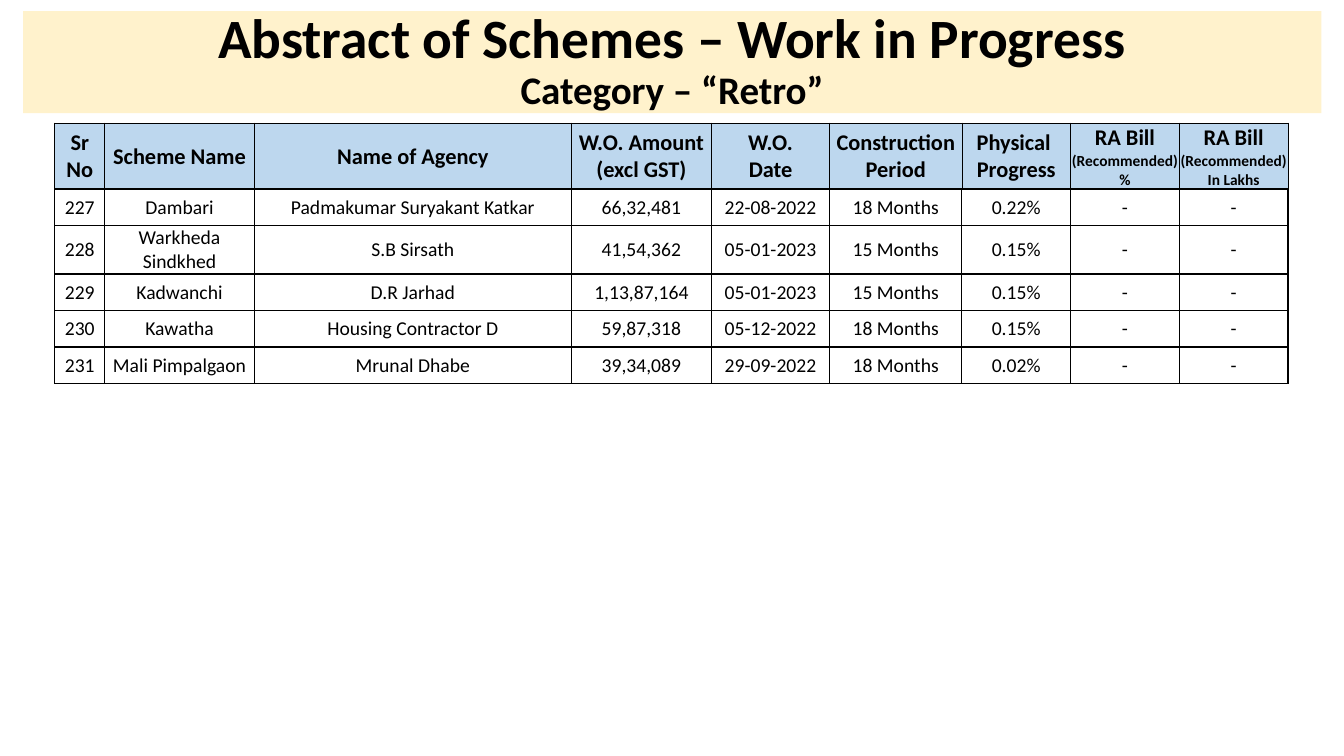
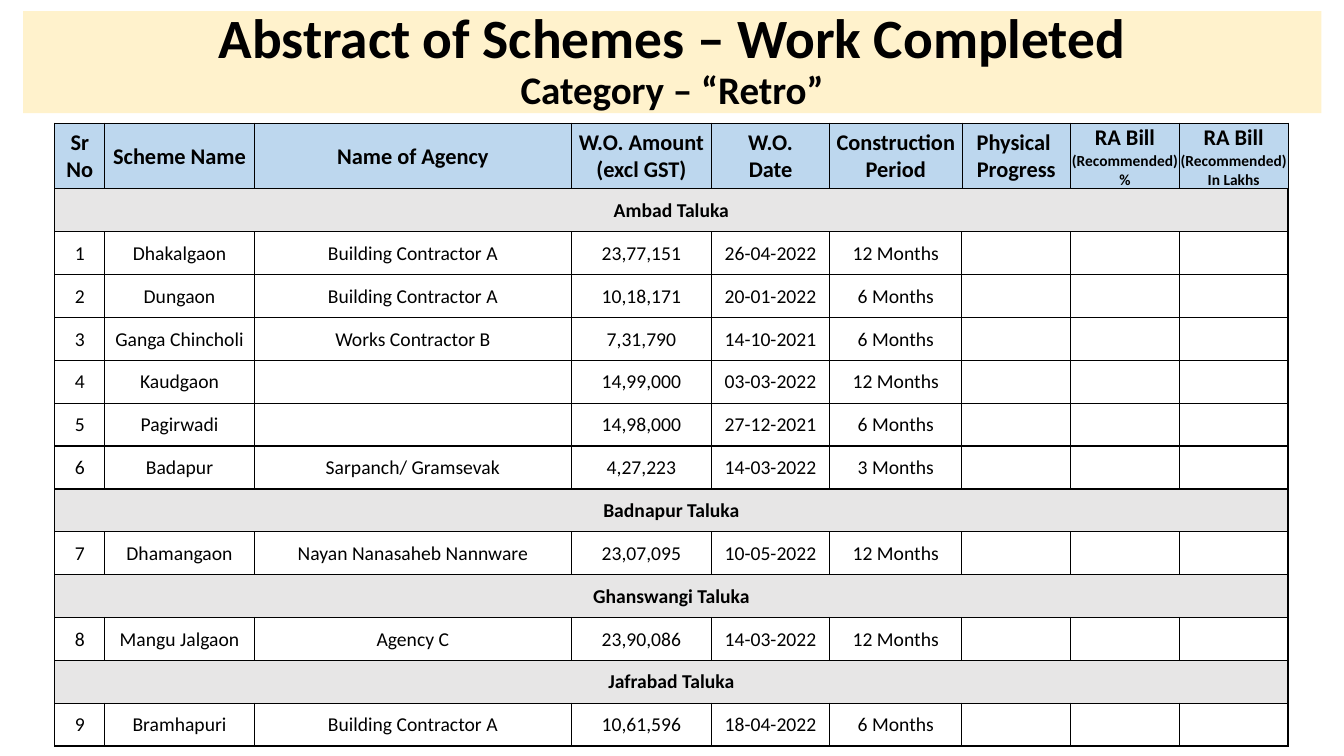
from dataclasses import dataclass

from lxml.etree import SubElement
from pptx import Presentation
from pptx.dml.color import RGBColor
from pptx.enum.text import MSO_ANCHOR, MSO_AUTO_SIZE, PP_ALIGN
from pptx.oxml.ns import qn
from pptx.util import Cm, Pt


@dataclass(frozen=True)
class Theme:
    font: str = "Calibri"
    ink: RGBColor = RGBColor(0x00, 0x00, 0x00)
    band: RGBColor = RGBColor(0xFF, 0xF2, 0xCC)
    heading: RGBColor = RGBColor(0xBD, 0xD7, 0xEE)
    taluka: RGBColor = RGBColor(0xE7, 0xE6, 0xE6)
    title_size: float = 39.6
    category_size: float = 27.9
    heading_size: float = 16
    note_size: float = 11
    body_size: float = 14
    thin: float = 0.5
    rule: float = 1


THEME = Theme()

CATEGORY = "Category – “Retro”"
HEADINGS = [
    "Sr No", "Scheme Name", "Name of Agency", "W.O. Amount\v(excl GST)", "W.O.\vDate",
    "Construction\vPeriod", "Physical \nProgress",
    "RA Bill\n(Recommended)\n%", "RA Bill\n(Recommended)\nIn Lakhs",
]
IN_PROGRESS = [
    ("227", "Dambari", "Padmakumar Suryakant Katkar", "66,32,481", "22-08-2022", "18 Months", "0.22%", "-", "-"),
    ("228", "Warkheda Sindkhed", "S.B Sirsath", "41,54,362", "05-01-2023", "15 Months", "0.15%", "-", "-"),
    ("229", "Kadwanchi", "D.R Jarhad", "1,13,87,164", "05-01-2023", "15 Months", "0.15%", "-", "-"),
    ("230", "Kawatha", "Housing Contractor D", "59,87,318", "05-12-2022", "18 Months", "0.15%", "-", "-"),
    ("231", "Mali Pimpalgaon", "Mrunal Dhabe", "39,34,089", "29-09-2022", "18 Months", "0.02%", "-", "-"),
]
COMPLETED = [
    ("Ambad Taluka",),
    ("1", "Dhakalgaon", "Building Contractor A", "23,77,151", "26-04-2022", "12 Months"),
    ("2", "Dungaon", "Building Contractor A", "10,18,171", "20-01-2022", "6 Months"),
    ("3", "Ganga Chincholi", "Works Contractor B", "7,31,790", "14-10-2021", "6 Months"),
    ("4", "Kaudgaon", "", "14,99,000", "03-03-2022", "12 Months"),
    ("5", "Pagirwadi", "", "14,98,000", "27-12-2021", "6 Months"),
    ("6", "Badapur", "Sarpanch/ Gramsevak", "4,27,223", "14-03-2022", "3 Months"),
    ("Badnapur Taluka",),
    ("7", "Dhamangaon", "Nayan Nanasaheb Nannware", "23,07,095", "10-05-2022", "12 Months"),
    ("Ghanswangi Taluka",),
    ("8", "Mangu Jalgaon", "Agency C", "23,90,086", "14-03-2022", "12 Months"),
    ("Jafrabad Taluka",),
    ("9", "Bramhapuri", "Building Contractor A", "10,61,596", "18-04-2022", "6 Months"),
]
ABSTRACTS = [
    ("Abstract of Schemes – Work in Progress", IN_PROGRESS, 0.92),
    ("Abstract of Schemes – Work Completed", COMPLETED, 1.08),
]

BAND = (0.58, 0.28, 32.72, 2.57)
COLUMNS = [1.26, 3.77, 7.99, 3.53, 2.98, 3.33, 2.74, 2.74, 2.74]
LEFT, TOP, HEADING_HEIGHT = 1.38, 3.1, 1.66


def style_font(font, size, bold):
    font.name = THEME.font
    font.size = Pt(size)
    font.bold = bold
    font.color.rgb = THEME.ink


def add_title(slide, heading):
    title = slide.shapes.title
    title.left, title.top, title.width, title.height = map(Cm, BAND)
    title.fill.solid()
    title.fill.fore_color.rgb = THEME.band
    frame = title.text_frame
    frame.text = f"{heading}\v{CATEGORY}"
    frame.auto_size = MSO_AUTO_SIZE.NONE
    frame.vertical_anchor = MSO_ANCHOR.MIDDLE
    paragraph = frame.paragraphs[0]
    paragraph.alignment = PP_ALIGN.CENTER
    paragraph.line_spacing = 0.9
    for run, size in zip(paragraph.runs, (THEME.title_size, THEME.category_size)):
        style_font(run.font, size, True)


def add_borders(cell, widths):
    properties = cell._tc.get_or_add_tcPr()
    for side, width in zip("LRTB", widths):
        line = SubElement(properties, qn(f"a:ln{side}"), w=str(Pt(width)))
        color = SubElement(SubElement(line, qn("a:solidFill")), qn("a:srgbClr"))
        color.set("val", str(THEME.ink))


def fill_cell(cell, text, size, bold, widths, color):
    add_borders(cell, widths)
    if color is None:
        cell.fill.background()
    else:
        cell.fill.solid()
        cell.fill.fore_color.rgb = color
    cell.margin_left = cell.margin_right = cell.margin_top = Cm(0.02)
    cell.margin_bottom = 0
    cell.vertical_anchor = MSO_ANCHOR.MIDDLE
    cell.text_frame.text = text
    noted = False
    for paragraph in cell.text_frame.paragraphs:
        paragraph.alignment = PP_ALIGN.CENTER
        noted = noted or paragraph.text == "(Recommended)"
        for run in paragraph.runs:
            style_font(run.font, THEME.note_size if noted else size, bold)


def add_grid(slide, row_count, top, row_height):
    frame = slide.shapes.add_table(
        row_count, len(COLUMNS), Cm(LEFT), Cm(top), Cm(sum(COLUMNS)), Cm(row_height * row_count))
    grid = frame.table
    grid.first_row = grid.horz_banding = False
    for column, width in zip(grid.columns, COLUMNS):
        column.width = Cm(width)
    for row in grid.rows:
        row.height = Cm(row_height)
    return grid


def add_headings(slide):
    grid = add_grid(slide, 1, TOP, HEADING_HEIGHT)
    widths = (THEME.thin, THEME.thin, THEME.thin, THEME.rule)
    for cell, text in zip(grid.iter_cells(), HEADINGS):
        fill_cell(cell, text, THEME.heading_size, True, widths, THEME.heading)


def add_schemes(slide, schemes, row_height):
    grid = add_grid(slide, len(schemes), TOP + HEADING_HEIGHT, row_height)
    last = len(COLUMNS) - 1
    for row, scheme in enumerate(schemes):
        is_taluka = len(scheme) == 1
        if is_taluka:
            grid.cell(row, 0).merge(grid.cell(row, last))
        for column in range(len(COLUMNS)):
            text = scheme[column] if column < len(scheme) else ""
            fill_cell(grid.cell(row, column), text, THEME.body_size, is_taluka,
                      [THEME.rule] * 4, THEME.taluka if is_taluka else None)


deck = Presentation()
deck.slide_width, deck.slide_height = Cm(33.87), Cm(19.05)
title_only = deck.slide_layouts[5]
for heading, schemes, row_height in ABSTRACTS:
    slide = deck.slides.add_slide(title_only)
    add_title(slide, heading)
    add_headings(slide)
    add_schemes(slide, schemes, row_height)
deck.save("out.pptx")
